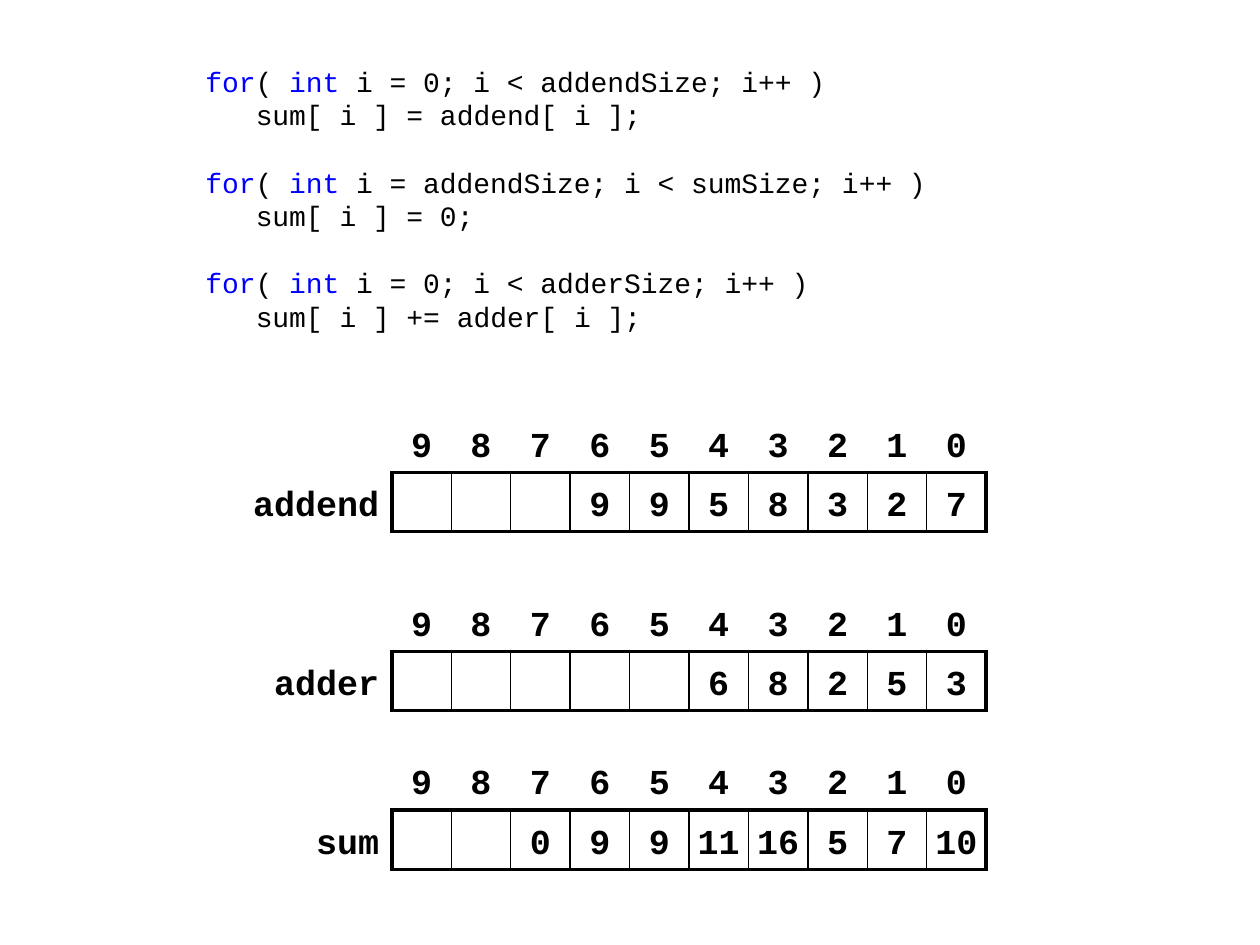
import pptx
import pptx.util
import pptx.dml.color
import pptx.enum.text
import pptx.oxml
import lxml.etree
from pptx.oxml.ns import qn

FONT = "Courier New"
BLACK, KEYWORD = "000000", "0000FF"

# Content: each loop is a header line and an indented body line
LOOPS = [
    ("i = 0; i < addendSize; i++ )", "sum[ i ] = addend[ i ];"),
    ("i = addendSize; i < sumSize; i++ )", "sum[ i ] = 0;"),
    ("i = 0; i < adderSize; i++ )", "sum[ i ] += adder[ i ];"),
]
# name, digits from high to low, table top, label column width, side margin
ARRAYS = [
    ("addend", [9, 9, 5, 8, 3, 2, 7], 3.28, 1.26, 0.1),
    ("adder", [6, 8, 2, 5, 3], 4.70, 1.10, 0.1),
    ("sum", [0, 9, 9, 11, 16, 5, 7, 10], 5.96, 0.79, 0.04),
]

# Grid shared by the three arrays
SLOTS = 10
GRID_LEFT, GRID_WIDTH, ROW_HEIGHT = 3.11, 4.72, 0.47
THICK, THIN = 2.25, 1
CODE_SIZE, CODE_PITCH = 16, 19.2
CODE_INDENT = 0.4

inch = pptx.util.Inches
point = pptx.util.Pt


def color(value):
    return pptx.dml.color.RGBColor.from_string(value)


def format_run(run, size, value, bold=False):
    run.font.name = FONT
    run.font.size = point(size)
    run.font.bold = bold
    run.font.color.rgb = color(value)


def add_code_line(text_frame, pieces, indent, space_before, first):
    paragraph = text_frame.paragraphs[0] if first else text_frame.add_paragraph()
    paragraph.line_spacing = point(CODE_PITCH)
    paragraph.space_before = point(space_before)
    properties = paragraph._p.get_or_add_pPr()
    properties.set("marL", str(inch(indent)))
    properties.set("indent", "0")
    lxml.etree.SubElement(properties, qn("a:buNone"))
    for text, value in pieces:
        run = paragraph.add_run()
        run.text = text
        format_run(run, CODE_SIZE, value)


def set_borders(cell, widths):
    """widths holds left, right, top, bottom; 0 means no line."""
    properties = cell._tc.get_or_add_tcPr()
    for position, (side, width) in enumerate(zip("LRTB", widths)):
        line = lxml.etree.Element(qn(f"a:ln{side}"), w=str(point(width)))
        if width:
            fill = lxml.etree.SubElement(line, qn("a:solidFill"))
            lxml.etree.SubElement(fill, qn("a:srgbClr"), val=BLACK)
        else:
            lxml.etree.SubElement(line, qn("a:noFill"))
        properties.insert(position, line)


def fill_cell(cell, text, alignment, side_margin):
    cell.fill.background()
    cell.vertical_anchor = pptx.enum.text.MSO_ANCHOR.MIDDLE
    cell.margin_left = cell.margin_right = inch(side_margin)
    cell.margin_top = cell.margin_bottom = inch(0.02)
    if text:
        cell.text_frame.text = text
        paragraph = cell.text_frame.paragraphs[0]
        paragraph.alignment = alignment
        paragraph.line_spacing = 1.25
        format_run(paragraph.runs[0], 20, BLACK, bold=True)


def add_array(slide, name, digits, top, label_width, side_margin):
    frame = slide.shapes.add_table(
        2, SLOTS + 1, inch(GRID_LEFT - label_width), inch(top),
        inch(label_width + GRID_WIDTH), inch(2 * ROW_HEIGHT))
    table = frame.table
    table.first_row = table.horz_banding = False
    for row in table.rows:
        row.height = inch(ROW_HEIGHT)
    for column in table.columns:
        column.width = inch(GRID_WIDTH / SLOTS)
    table.columns[0].width = inch(label_width)

    # Label column
    align = pptx.enum.text.PP_ALIGN
    fill_cell(table.cell(0, 0), "", align.RIGHT, 0.1)
    fill_cell(table.cell(1, 0), name, align.RIGHT, 0.1)
    set_borders(table.cell(0, 0), (0, 0, 0, 0))
    set_borders(table.cell(1, 0), (0, THICK, 0, 0))

    # Index row above the boxed values
    values = [""] * (SLOTS - len(digits)) + [str(digit) for digit in digits]
    for slot, value in enumerate(values):
        index_cell, value_cell = (table.cell(row, slot + 1) for row in (0, 1))
        fill_cell(index_cell, str(SLOTS - 1 - slot), align.CENTER, side_margin)
        fill_cell(value_cell, value, align.CENTER, side_margin)
        set_borders(index_cell, (0, 0, 0, THICK))
        left = THICK if slot == 0 else THIN
        right = THICK if slot == SLOTS - 1 else THIN
        set_borders(value_cell, (left, right, THICK, THICK))


def main():
    presentation = pptx.Presentation()
    presentation.slide_width, presentation.slide_height = inch(10), inch(7.5)
    slide = presentation.slides.add_slide(presentation.slide_layouts[1])
    title = slide.shapes.title._element
    title.getparent().remove(title)

    # Code listing in the body placeholder
    body = slide.placeholders[1]
    body.left, body.top = inch(1.53), inch(0.44)
    body.width, body.height = inch(6.93), inch(2.68)
    text_frame = body.text_frame
    text_frame.auto_size = pptx.enum.text.MSO_AUTO_SIZE.NONE
    text_frame.margin_top = inch(0.07)
    for number, (header, statement) in enumerate(LOOPS):
        pieces = [("for", KEYWORD), ("( ", BLACK), ("int ", KEYWORD), (header, BLACK)]
        gap = CODE_PITCH if number else 0
        add_code_line(text_frame, pieces, 0, gap, number == 0)
        add_code_line(text_frame, [(statement, BLACK)], CODE_INDENT, 0, False)

    # Arrays
    for array in ARRAYS:
        add_array(slide, *array)

    presentation.save("out.pptx")


if __name__ == "__main__":
    main()
